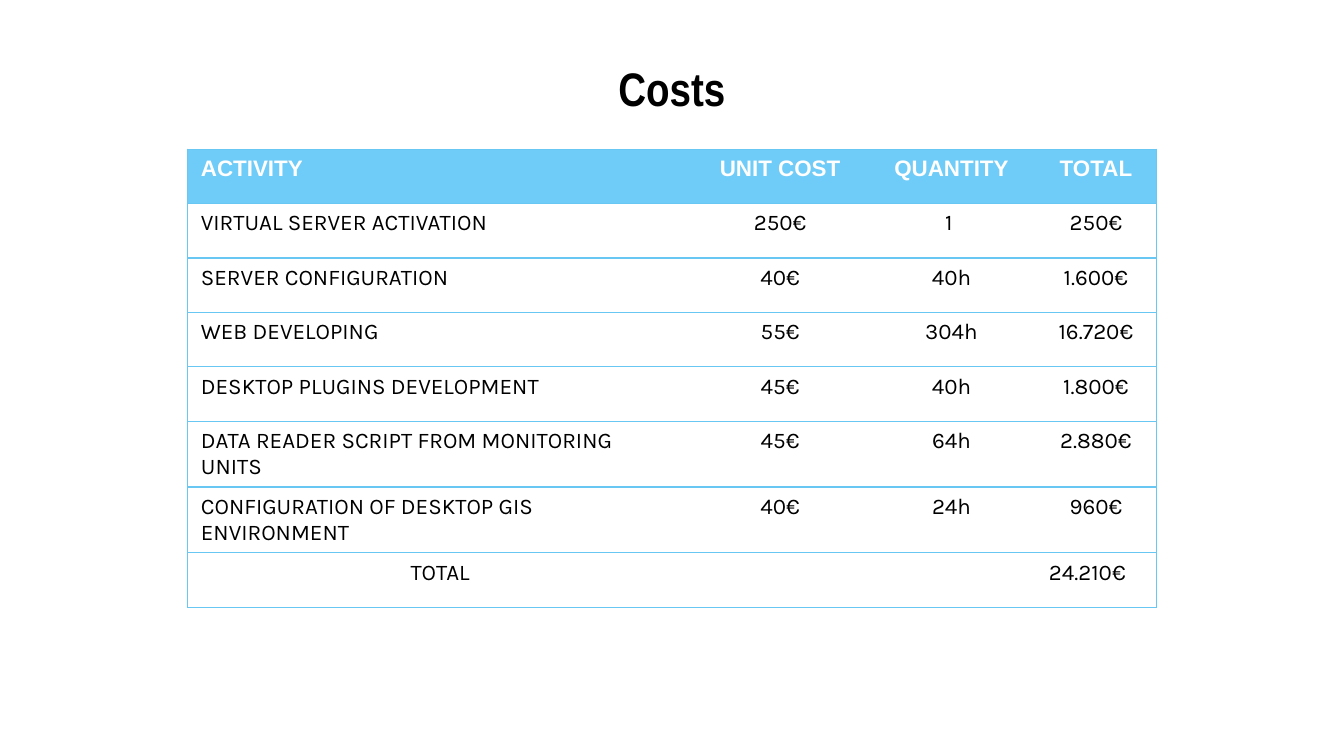
from lxml import etree
from pptx import Presentation
from pptx.dml.color import RGBColor
from pptx.enum.text import MSO_ANCHOR, MSO_AUTO_SIZE, PP_ALIGN
from pptx.oxml.ns import qn
from pptx.util import Inches, Pt

BLACK = RGBColor(0x00, 0x00, 0x00)
WHITE = RGBColor(0xFF, 0xFF, 0xFF)
HEADER_BLUE = RGBColor(0x6F, 0xCB, 0xF7)
BORDER_BLUE = RGBColor(0x68, 0xC8, 0xF3)

SLIDE_WIDTH = 10
SLIDE_HEIGHT = SLIDE_WIDTH * 9 / 16
COLUMN_WIDTHS = (3.76, 1.3, 1.25, 0.9)
COSTS = [
    ("ACTIVITY", "UNIT COST", "QUANTITY", "TOTAL"),
    ("VIRTUAL SERVER ACTIVATION", "250€", "1 ", "250€"),
    ("SERVER CONFIGURATION", "40€", "40h", "1.600€"),
    ("WEB DEVELOPING", "55€", "304h", "16.720€"),
    ("DESKTOP PLUGINS DEVELOPMENT", "45€", "40h", "1.800€"),
    ("DATA READER SCRIPT FROM MONITORING\nUNITS", "45€", "64h", "2.880€"),
    ("CONFIGURATION OF DESKTOP GIS ENVIRONMENT", "40€", "24h", "960€"),
    ("TOTAL", "", "", "24.210€"),
]


def write_run(paragraph, text, font_name, size, color, bold=False):
    run = paragraph.add_run()
    run.text = text
    run.font.name = font_name
    run.font.size = Pt(size)
    run.font.bold = bold
    run.font.color.rgb = color


def set_borders(cell, visible_sides):
    """Draw the given sides (of L, R, T, B) and clear the others."""
    properties = cell._tc.get_or_add_tcPr()
    for side in "LRTB":
        line = etree.SubElement(properties, qn(f"a:ln{side}"), w=str(Pt(0.75)))
        if side in visible_sides:
            fill = etree.SubElement(line, qn("a:solidFill"))
            etree.SubElement(fill, qn("a:srgbClr"), val=str(BORDER_BLUE))
        else:
            etree.SubElement(line, qn("a:noFill"))


def add_title(slide, left, top, width, height):
    title = slide.shapes.title
    title.left, title.top = Inches(left), Inches(top)
    title.width, title.height = Inches(width), Inches(height)
    frame = title.text_frame
    frame.auto_size = MSO_AUTO_SIZE.NONE
    frame.word_wrap = True
    frame.vertical_anchor = MSO_ANCHOR.MIDDLE
    frame.margin_left = frame.margin_right = Inches(0.1)
    frame.margin_top = frame.margin_bottom = Inches(0.1)
    heading = frame.paragraphs[0]
    heading.alignment = PP_ALIGN.CENTER
    write_run(heading, "Costs", "Arial Narrow", 25.2, BLACK, bold=True)


def fill_cell(cell, text, alignment, is_header):
    frame = cell.text_frame
    for index, line in enumerate(text.split("\n")):
        paragraph = frame.add_paragraph() if index else frame.paragraphs[0]
        paragraph.alignment = alignment
        if not line:
            paragraph.font.size = Pt(12)
        elif is_header:
            write_run(paragraph, line, "Arial", 12, WHITE, bold=True)
        else:
            write_run(paragraph, line, "Karla", 12, BLACK)
    if is_header:
        cell.fill.solid()
        cell.fill.fore_color.rgb = HEADER_BLUE
    else:
        cell.fill.background()


def add_cost_table(slide, left, top, width, height):
    last_row, last_column = len(COSTS) - 1, len(COLUMN_WIDTHS) - 1
    table = slide.shapes.add_table(
        len(COSTS), len(COLUMN_WIDTHS),
        Inches(left), Inches(top), Inches(width), Inches(height)).table
    table.horz_banding = False
    for column, column_width in zip(table.columns, COLUMN_WIDTHS):
        column.width = Inches(column_width)
    for r, row in enumerate(COSTS):
        for c, text in enumerate(row):
            cell = table.cell(r, c)
            sides = "TB" + ("L" if c == 0 else "") + ("R" if c == last_column else "")
            set_borders(cell, sides)
            # The totals row swaps the alignment of its label and its sum
            centred = (c == 0) if r == last_row else (c > 0)
            alignment = PP_ALIGN.CENTER if centred else PP_ALIGN.LEFT
            fill_cell(cell, text, alignment, is_header=r == 0)


def main():
    deck = Presentation()
    deck.slide_width, deck.slide_height = Inches(SLIDE_WIDTH), Inches(SLIDE_HEIGHT)
    slide = deck.slides.add_slide(deck.slide_layouts[5])
    table_width = sum(COLUMN_WIDTHS)
    add_title(slide, 0.5, 0.45, 9, 0.41)
    add_cost_table(slide, (SLIDE_WIDTH - table_width) / 2, 1.11, table_width, 3.24)
    deck.save("out.pptx")


if __name__ == "__main__":
    main()
